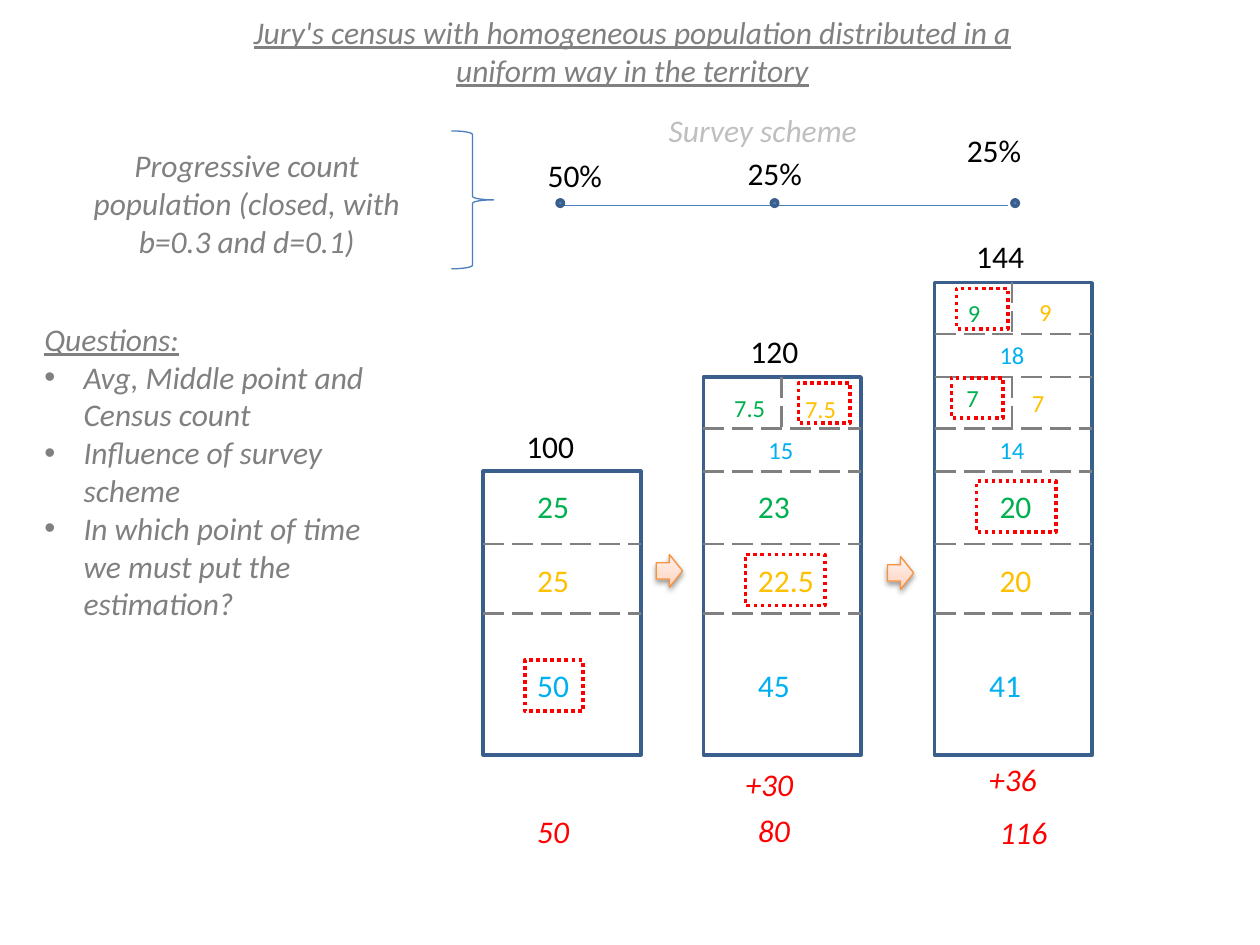
import copy
from dataclasses import dataclass

import lxml.etree
import pptx
import pptx.dml.color
import pptx.enum.dml
import pptx.enum.shapes
import pptx.enum.text
import pptx.oxml
import pptx.oxml.ns
import pptx.util

Cm = pptx.util.Cm
Pt = pptx.util.Pt
qn = pptx.oxml.ns.qn
Shape = pptx.enum.shapes.MSO_SHAPE
Dash = pptx.enum.dml.MSO_LINE
Align = pptx.enum.text.PP_ALIGN


@dataclass(frozen=True)
class Theme:
    font: str = "Calibri"
    large: int = 18
    small: int = 14
    black: str = "000000"
    grey: str = "808080"
    pale: str = "BFBFBF"
    blue: str = "00B0F0"
    yellow: str = "FFC000"
    green: str = "00B050"
    red: str = "FF0000"
    frame: str = "3A5F8C"
    dot: str = "4F81BD"
    axis: str = "4B7EBC"
    arrow_line: str = "F69240"
    arrow_fill: tuple = ((0, "FFD2BD"), (0.35, "FFDED0"), (1, "FFF2ED"))


def color(value):
    return pptx.dml.color.RGBColor.from_string(value)


class SlideBuilder:
    def __init__(self, slide, theme):
        self.slide = slide
        self.theme = theme

    def style_line(self, line, line_color, width, dash=None):
        line.color.rgb = color(line_color)
        line.width = Pt(width)
        if dash is not None:
            line.dash_style = dash

    def set_text(self, shape, box, lines, text_color, size=None, italic=False, align=Align.LEFT):
        shape.left, shape.top, shape.width, shape.height = map(Cm, box)
        frame = shape.text_frame
        frame.text = "\n".join(lines)
        frame.word_wrap = True
        frame.auto_size = pptx.enum.text.MSO_AUTO_SIZE.NONE
        frame.vertical_anchor = pptx.enum.text.MSO_ANCHOR.TOP
        for paragraph in frame.paragraphs:
            paragraph.alignment = align
            paragraph.space_before = Pt(0)
            for run in paragraph.runs:
                run.font.name = self.theme.font
                run.font.size = Pt(size or self.theme.large)
                run.font.italic = italic
                run.font.color.rgb = color(text_color)
        return frame

    def text(self, box, content, text_color, **style):
        shape = self.slide.shapes.add_textbox(0, 0, 0, 0)
        self.set_text(shape, box, [content], text_color, **style)

    def label(self, content, left, top, text_color, italic=False):
        self.text((left, top, 1.91, 1.03), content, text_color, italic=italic)

    def small_label(self, content, left, top, text_color):
        self.text((left, top, 1.32, 0.86), content, text_color, size=self.theme.small)

    def title(self, box, content):
        frame = self.set_text(self.slide.shapes.title, box, [content], self.theme.grey,
                              italic=True, align=Align.CENTER)
        frame.paragraphs[0].runs[0].font.underline = True

    def bullet_list(self, box, heading, items):
        frame = self.set_text(self.slide.placeholders[1], box, [heading, *items],
                              self.theme.grey, italic=True)
        frame.paragraphs[0].runs[0].font.underline = True
        for index, paragraph in enumerate(frame.paragraphs):
            properties = paragraph._p.get_or_add_pPr()
            indent = Cm(0.79) if index else 0
            properties.set("marL", str(int(indent)))
            properties.set("indent", str(-int(indent)))
            if index:
                lxml.etree.SubElement(properties, qn("a:buFont")).set("typeface", "Arial")
                lxml.etree.SubElement(properties, qn("a:buChar")).set("char", "•")
            else:
                lxml.etree.SubElement(properties, qn("a:buNone"))

    def line(self, start, end, line_color, width, dash=None):
        connector = self.slide.shapes.add_connector(
            pptx.enum.shapes.MSO_CONNECTOR.STRAIGHT, *map(Cm, (*start, *end)))
        self.style_line(connector.line, line_color, width, dash)
        lxml.etree.SubElement(connector._element.spPr, qn("a:effectLst"))

    def divider(self, start, end):
        self.line(start, end, self.theme.grey, 1.5, Dash.LONG_DASH)

    def shape(self, kind, box, line_color, width=2, fill=None, dash=None):
        shape = self.slide.shapes.add_shape(kind, *map(Cm, box))
        shape.shadow.inherit = False
        if fill:
            shape.fill.solid()
            shape.fill.fore_color.rgb = color(fill)
        else:
            shape.fill.background()
        self.style_line(shape.line, line_color, width, dash)
        return shape

    def mark(self, left, top, width, height):
        self.shape(Shape.RECTANGLE, (left, top, width, height), self.theme.red,
                   dash=Dash.ROUND_DOT)

    def arrow(self, left, top):
        arrow = self.shape(Shape.RIGHT_ARROW, (left, top, 0.53, 0.66),
                           self.theme.arrow_line, 0.75)
        arrow.fill.gradient()
        arrow.fill.gradient_angle = 90
        properties = arrow._element.spPr
        stop_list = properties.find(".//" + qn("a:gsLst"))
        stop_list.insert(1, copy.deepcopy(stop_list[0]))
        for stop, (position, stop_color) in zip(arrow.fill.gradient_stops, self.theme.arrow_fill):
            stop.position = position
            stop.color.rgb = color(stop_color)
        shadow = lxml.etree.SubElement(properties.find(qn("a:effectLst")), qn("a:outerShdw"),
                                       blurRad="40000", dist="20000", dir="5400000", rotWithShape="0")
        shadow_color = lxml.etree.SubElement(shadow, qn("a:srgbClr"), val=self.theme.black)
        lxml.etree.SubElement(shadow_color, qn("a:alpha"), val="38000")


theme = Theme()
presentation = pptx.Presentation()
presentation.slide_width = Cm(25.4)
presentation.slide_height = Cm(19.05)
slide = presentation.slides.add_slide(presentation.slide_layouts[1])
builder = SlideBuilder(slide, theme)

builder.title((4.23, 0.13, 17.04, 1.8),
              "Jury's census with homogeneous population distributed in a uniform way in the territory")
builder.bullet_list((0.64, 6.32, 7.2, 7.95), "Questions:", [
    "Avg, Middle point and Census count",
    "Influence of survey scheme",
    "In which point of time we must put the estimation?",
])
builder.text((1.06, 2.82, 7.83, 2.57),
             "Progressive count population (closed, with b=0.3 and d=0.1)",
             theme.grey, italic=True, align=Align.CENTER)
builder.text((13.23, 2.11, 6.56, 1.03), "Survey scheme", theme.pale, italic=True)
builder.shape(Shape.RIGHT_BRACE, (9.1, 2.64, 0.85, 2.78), theme.axis, 0.75)

column_width, column_bottom, first_height, growth = 3.18, 15.22, 5.72, 1.9
levels = [12.37, 10.97, 9.5, 8.64, 7.6, 6.73]
for index, left in enumerate((9.74, 14.18, 18.84)):
    height = first_height + index * growth
    builder.shape(Shape.RECTANGLE, (left, column_bottom - height, column_width, height), theme.frame)
    for level in levels[:2 + 2 * index]:
        builder.divider((left, level), (left + column_width, level))
for left, top in ((15.75, 7.6), (20.4, 7.6), (20.4, 5.69)):
    builder.divider((left, top), (left, top + 1.04))

for top, text_color, entries in (
    (13.31, theme.blue, (("50", 10.58), ("45", 15.03), ("41", 19.69))),
    (11.18, theme.yellow, (("25", 10.58), ("22.5", 15.03), ("20", 19.9))),
    (9.7, theme.green, (("25", 10.58), ("23", 15.03), ("20", 19.9))),
):
    for content, left in entries:
        builder.label(content, left, top, text_color)

for content, left, top in (
    ("100", 10.36, 8.48), ("120", 14.88, 6.56), ("144", 19.43, 4.65),
    ("50%", 10.79, 3.03), ("25%", 14.82, 2.98), ("25%", 19.24, 2.52),
):
    builder.label(content, left, top, theme.black)

for content, left, top in (
    ("50", 10.58, 16.25), ("80", 15.03, 16.22), ("116", 19.9, 16.26),
    ("+30", 14.78, 15.29), ("+36", 19.69, 15.2),
):
    builder.label(content, left, top, theme.red, italic=True)

for content, left, top, text_color in (
    ("15", 15.24, 8.64, theme.blue), ("14", 19.9, 8.64, theme.blue), ("18", 19.9, 6.73, theme.blue),
    ("7.5", 15.98, 7.82, theme.yellow), ("7", 20.55, 7.7, theme.yellow), ("9", 20.7, 5.87, theme.yellow),
    ("7.5", 14.55, 7.8, theme.green), ("7", 19.23, 7.6, theme.green), ("9", 19.26, 5.89, theme.green),
):
    builder.small_label(content, left, top, text_color)

builder.line((11.23, 4.14), (20.32, 4.14), theme.axis, 0.75)
for left in (11.23, 15.55, 20.4):
    builder.shape(Shape.OVAL, (left, 4.03, 0.13, 0.13), theme.frame, fill=theme.dot)

builder.arrow(13.23, 11.18)
builder.arrow(17.89, 11.22)

for left, top, width in ((10.58, 13.31, 1.17), (15.03, 11.18, 1.6), (19.69, 9.7, 1.6)):
    builder.mark(left, top, width, 1.03)
for left, top in ((16.1, 7.72), (19.18, 7.62), (19.28, 5.82)):
    builder.mark(left, top, 1.04, 0.81)

presentation.save("out.pptx")
